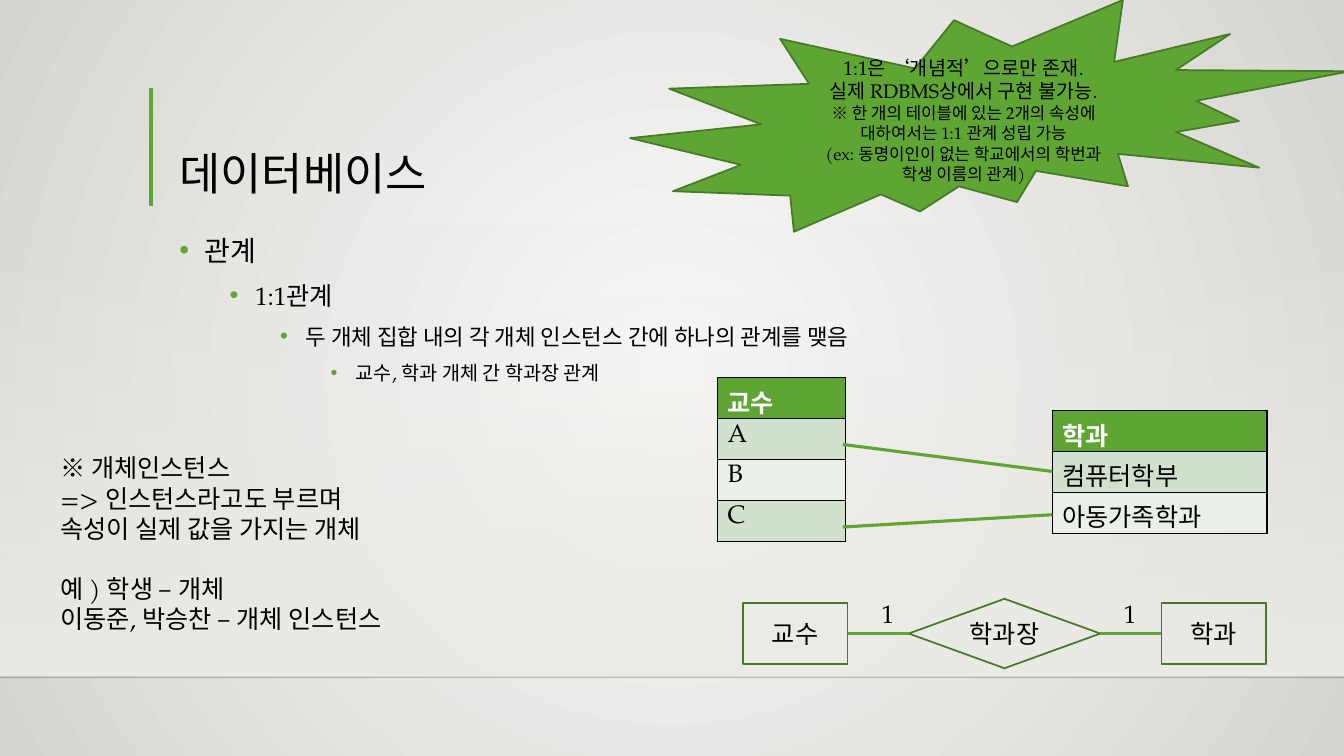
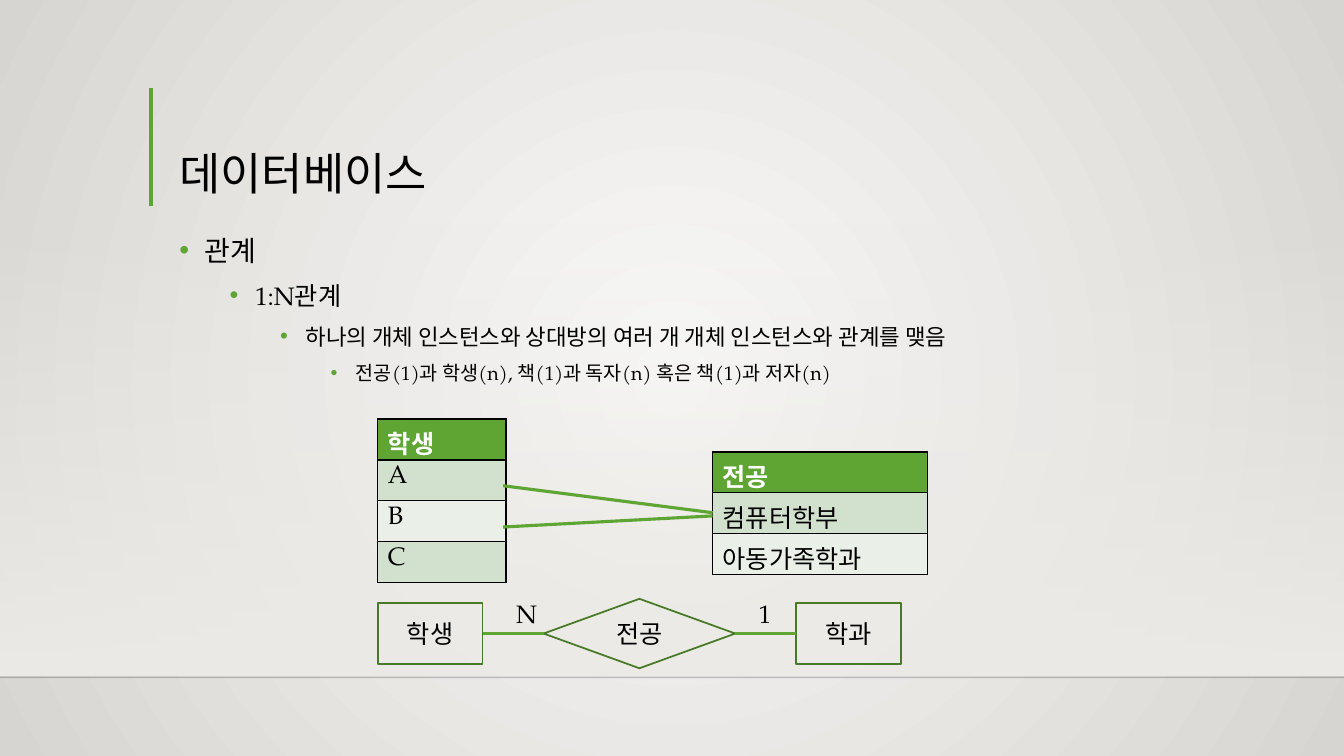
from lxml import etree
from pptx import Presentation
from pptx.dml.color import RGBColor
from pptx.enum.dml import MSO_FILL
from pptx.enum.shapes import MSO_CONNECTOR, MSO_SHAPE
from pptx.enum.text import MSO_ANCHOR, MSO_AUTO_SIZE, PP_ALIGN
from pptx.oxml.ns import qn
from pptx.util import Cm, Pt

STRAIGHT = MSO_CONNECTOR.STRAIGHT
RECTANGLE = MSO_SHAPE.RECTANGLE
DIAMOND = MSO_SHAPE.DIAMOND
BURST = MSO_SHAPE.EXPLOSION2
LEFT, CENTER = PP_ALIGN.LEFT, PP_ALIGN.CENTER
MIDDLE, BOTTOM = MSO_ANCHOR.MIDDLE, MSO_ANCHOR.BOTTOM
NO_FIT = MSO_AUTO_SIZE.NONE
GRADIENT = MSO_FILL.GRADIENT

FONT = "TeX Gyre Pagella"
GREEN, DARK_GREEN = "5FA534", "467A26"
BLACK, NEAR_BLACK, WHITE = "000000", "000001", "FFFFFF"
BACK_CENTER, BACK_EDGE, WALL = "FAFAF9", "D7D5D2", "EDEBE7"
ROW_FILLS = ("D2E1CE", "EAF0E8")
WIDTH, HEIGHT = 33.87, 19.05
BODY_SIZES = (20, 18, 16, 14)


def rgb(code):
    """Return the colour for a hex string."""
    return RGBColor.from_string(code)


def add_child(parent, tag, **attributes):
    """Append an XML element with attributes and return it."""
    child = etree.SubElement(parent, qn(tag))
    for name, value in attributes.items():
        child.set(name, str(value))
    return child


def set_alpha(element, percent):
    """Set the opacity of the first colour inside an element."""
    add_child(next(element.iter(qn("a:srgbClr"))), "a:alpha", val=percent * 1000)


def set_gradient(fill, first, last):
    """Give a fill a gradient between two colours."""
    if fill.type != GRADIENT:
        fill.gradient()
    for stop, code in zip(fill.gradient_stops, (first, last)):
        stop.color.rgb = rgb(code)


def add_span(para, text, size, code=BLACK, bold=False):
    """Add one formatted run to a paragraph."""
    span = para.add_run()
    span.text = text
    span.font.name = FONT
    span.font.size = Pt(size)
    span.font.bold = bold
    span.font.color.rgb = rgb(code)


def fill_frame(frame, lines, align=LEFT):
    """Write (text, size, space before) lines as paragraphs of a frame."""
    frame.word_wrap = True
    for index, (text, size, gap) in enumerate(lines):
        para = frame.paragraphs[0] if index == 0 else frame.add_paragraph()
        para.alignment = align
        para.space_before = Pt(gap)
        add_span(para, text, size)


def add_text(page, left, top, width, height, lines):
    """Add a text box and return its frame."""
    box = page.shapes.add_textbox(Cm(left), Cm(top), Cm(width), Cm(height))
    fill_frame(box.text_frame, lines)
    return box.text_frame


def add_line(page, start, end, code=GREEN, weight=2.25):
    """Draw a straight line between two points."""
    line = page.shapes.add_connector(STRAIGHT, *map(Cm, (*start, *end)))
    line.line.color.rgb = rgb(code)
    line.line.width = Pt(weight)
    add_child(line.element.spPr, "a:effectLst")
    return line


def add_figure(page, kind, left, top, width, height, lines, fill=None):
    """Add an outlined shape with centred text."""
    shape = page.shapes.add_shape(kind, Cm(left), Cm(top), Cm(width), Cm(height))
    shape.shadow.inherit = False
    if fill:
        shape.fill.solid()
        shape.fill.fore_color.rgb = rgb(fill)
    else:
        shape.fill.background()
    shape.line.color.rgb = rgb(DARK_GREEN)
    shape.line.width = Pt(1.25)
    shape.text_frame.vertical_anchor = MIDDLE
    fill_frame(shape.text_frame, lines, CENTER)


def set_background(master):
    """Give every slide the round grey gradient."""
    set_gradient(master.background.fill, BACK_CENTER, BACK_EDGE)
    gradient = next(master.element.iter(qn("a:gradFill")))
    for linear in gradient.findall(qn("a:lin")):
        gradient.remove(linear)
    circle = add_child(gradient, "a:path", path="circle")
    add_child(circle, "a:fillToRect", l=50000, t=50000, r=50000, b=50000)


def add_backdrop(page):
    """Draw the wall, the floor line and the title bar."""
    wall = page.shapes.add_shape(RECTANGLE, 0, Cm(5.59), Cm(WIDTH), Cm(11.43))
    wall.shadow.inherit = False
    wall.line.fill.background()
    set_gradient(wall.fill, WALL, WALL)
    wall.fill.gradient_angle = 270
    set_alpha(wall.element.spPr, 0)
    floor = add_line(page, (0, 17.07), (WIDTH, 17.07), NEAR_BLACK, 1)
    set_alpha(floor.element.spPr, 20)
    add_line(page, (3.81, 2.21), (3.81, 5.18), GREEN, 3)


def add_title(page, text):
    """Place and format the title placeholder."""
    title = page.shapes.title
    title.left, title.top, title.width, title.height = map(Cm, (4.27, 2.24, 26.44, 2.92))
    frame = title.text_frame
    frame.auto_size = NO_FIT
    frame.vertical_anchor = BOTTOM
    fill_frame(frame, [(text, 32, 0)])
    frame.paragraphs[0].line_spacing = 0.9


def add_outline(page, texts):
    """Write bulleted lines, each one level deeper than the last."""
    gaps = (0, 5, 5, 5)
    frame = add_text(page, 4.27, 5.59, 26.44, 9.58, zip(texts, BODY_SIZES, gaps))
    for level, para in enumerate(frame.paragraphs):
        properties = para._p.get_or_add_pPr()
        properties.set("marL", str(Cm(0.64 + 1.27 * level)))
        properties.set("indent", str(-Cm(0.64)))
        add_child(add_child(properties, "a:buClr"), "a:srgbClr", val=GREEN)
        add_child(properties, "a:buFont", typeface="Arial")
        add_child(properties, "a:buChar", char="•")
        para.line_spacing = 1.2


def style_cell(cell, text, fill, code, bold):
    """Give a cell its text, black borders and fill."""
    add_span(cell.text_frame.paragraphs[0], text, 18, code, bold)
    properties = cell._tc.get_or_add_tcPr()
    for side in ("a:lnL", "a:lnR", "a:lnT", "a:lnB"):
        border = add_child(properties, side, w=Pt(1))
        add_child(add_child(border, "a:solidFill"), "a:srgbClr", val=BLACK)
    cell.fill.solid()
    cell.fill.fore_color.rgb = rgb(fill)


def add_entity_table(page, left, top, width, texts):
    """Add a one-column table with a green header."""
    row_height = 1.03
    frame = page.shapes.add_table(
        len(texts), 1, Cm(left), Cm(top), Cm(width), Cm(row_height * len(texts)))
    for index, text in enumerate(texts):
        frame.table.rows[index].height = Cm(row_height)
        header = index == 0
        fill = GREEN if header else ROW_FILLS[(index - 1) % 2]
        style_cell(frame.table.cell(index, 0), text, fill, WHITE if header else BLACK, header)


def add_mapping(page, left, top, names, links):
    """Place two entity tables and join their instances."""
    add_entity_table(page, left, top, 3.23, (names[0], "A", "B", "C"))
    add_entity_table(page, left + 8.44, top + 0.83, 5.41,
                     (names[1], "컴퓨터학부", "아동가족학과"))
    for row, end in links:
        add_line(page, (left + 3.16, top + 1.68 + 1.04 * row), (left + 8.44, top + end))


def add_relation(page, left, top, names, counts):
    """Draw entity, relation and entity in a row with their counts."""
    box_width, box_height, diamond_width, diamond_height, gap = 2.64, 1.52, 4.83, 1.75, 1.54
    middle = top + diamond_height / 2
    diamond_left = left + box_width + gap
    right_left = diamond_left + diamond_width + gap
    parts = (
        (RECTANGLE, left, box_width, box_height),
        (DIAMOND, diamond_left, diamond_width, diamond_height),
        (RECTANGLE, right_left, box_width, box_height),
    )
    for (kind, start, width, height), name in zip(parts, names):
        add_figure(page, kind, start, middle - height / 2, width, height, [(name, 18, 0)])
    gaps = (left + box_width, diamond_left + diamond_width)
    for start, shift, count in zip(gaps, (0.6, 0.34), counts):
        add_line(page, (start, middle), (start + gap, middle))
        add_text(page, start + shift, top - 0.15, 1.2, 1.02, [(count, 18, 0)])


def add_instance_note(page, left, top):
    """Write the note that explains instances."""
    add_text(page, left, top, 10, 4.88, [
        ("※ 개체인스턴스", 18, 0),
        ("=> 인스턴스라고도 부르며", 18, 0),
        ("속성이 실제 값을 가지는 개체", 18, 0),
        ("예 ) 학생 – 개체", 18, 21.5),
        ("이동준, 박승찬 – 개체 인스턴스", 18, 0),
    ])


def add_burst(page, left, top):
    """Add the green burst with the caution."""
    add_figure(page, BURST, left, top, 18.14, 5.84, [
        ("1:1은 ‘개념적’으로만 존재.", 14, 0),
        ("실제 RDBMS상에서 구현 불가능.", 14, 0),
        ("※ 한 개의 테이블에 있는 2개의 속성에 대하여서는 1:1 관계 성립 가능", 12, 0),
        ("(ex: 동명이인이 없는 학교에서의 학번과 학생 이름의 관계)", 12, 0),
    ], GREEN)


def add_page(deck, texts):
    """Start a slide with backdrop, title and outline."""
    page = deck.slides.add_slide(deck.slide_layouts[5])
    add_backdrop(page)
    add_title(page, "데이터베이스")
    add_outline(page, texts)
    return page


def build_one_to_one(deck):
    """Build the slide on the 1:1 relation."""
    page = add_page(deck, (
        "관계", "1:1관계",
        "두 개체 집합 내의 각 개체 인스턴스 간에 하나의 관계를 맺음",
        "교수, 학과 개체 간 학과장 관계"))
    add_mapping(page, 18.08, 9.52, ("교수", "학과"), ((0, 2.36), (2, 3.45)))
    add_relation(page, 18.72, 15.09, ("교수", "학과장", "학과"), ("1", "1"))
    add_instance_note(page, 1.27, 11.28)
    add_burst(page, 15.88, 0)


def build_one_to_many(deck):
    """Build the slide on the 1:N relation."""
    page = add_page(deck, (
        "관계", "1:N관계",
        "하나의 개체 인스턴스와 상대방의 여러 개 개체 인스턴스와 관계를 맺음",
        "전공(1)과 학생(n), 책(1)과 독자(n) 혹은 책(1)과 저자(n)"))
    add_mapping(page, 9.52, 10.56, ("학생", "전공"), ((0, 2.36), (1, 2.44)))
    add_relation(page, 9.52, 15.09, ("학생", "전공", "학과"), ("N", "1"))


def main():
    """Build and save the deck."""
    deck = Presentation()
    deck.slide_width, deck.slide_height = Cm(WIDTH), Cm(HEIGHT)
    set_background(deck.slide_master)
    build_one_to_one(deck)
    build_one_to_many(deck)
    deck.save("out.pptx")


if __name__ == "__main__":
    main()
